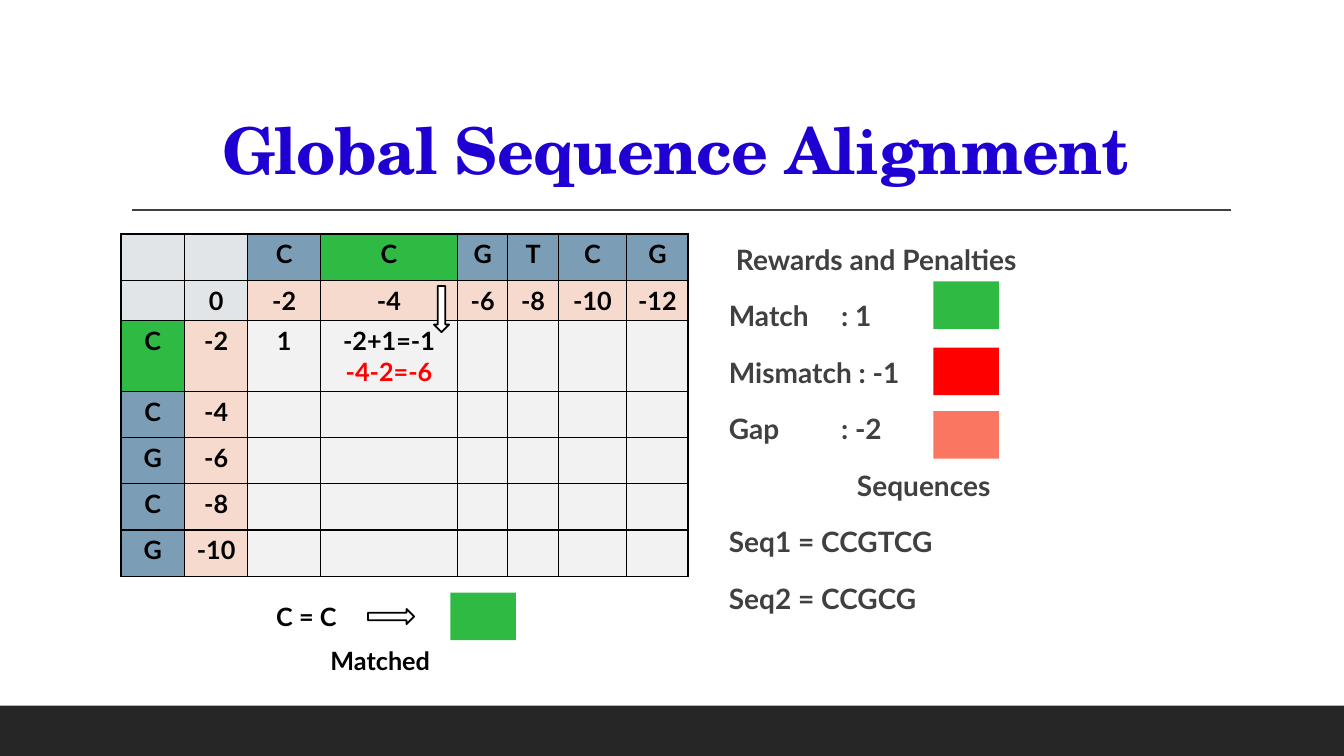
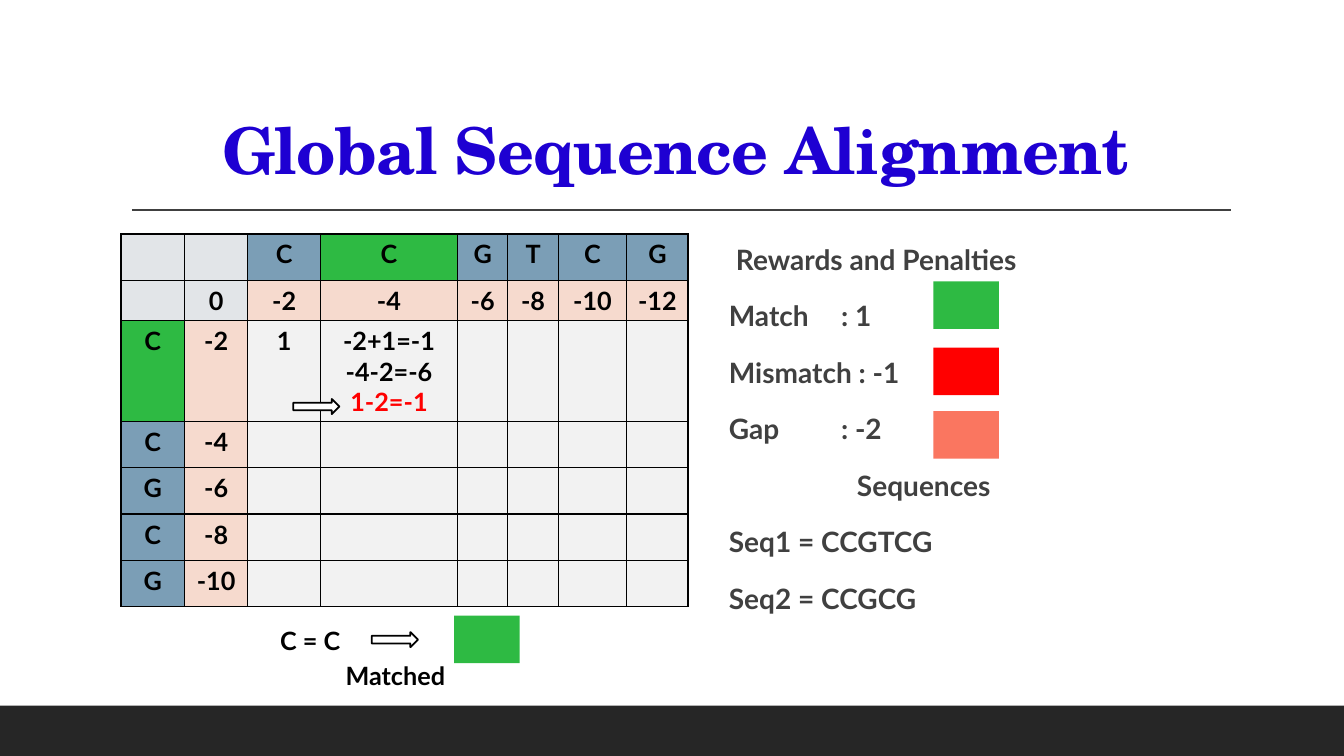
"""Builds two slides on filling the score table of a global sequence alignment."""
from lxml import etree
from pptx import Presentation, util as u
from pptx.dml.color import RGBColor
from pptx.enum import shapes, text
from pptx.oxml.ns import qn

BLACK = RGBColor(0x00, 0x00, 0x00)
WHITE = RGBColor(0xFF, 0xFF, 0xFF)
FOOTER = RGBColor(0x26, 0x26, 0x26)
GREY = RGBColor(0x40, 0x40, 0x40)
TITLE = RGBColor(0x1E, 0x00, 0xD2)
MATCH = RGBColor(0x2E, 0xBA, 0x43)
MISMATCH = RGBColor(0xFF, 0x00, 0x00)
GAP = RGBColor(0xFA, 0x76, 0x60)
CORNER = RGBColor(0xE2, 0xE5, 0xE8)
LETTER = RGBColor(0x7B, 0x9E, 0xB6)
GAP_SCORE = RGBColor(0xF6, 0xDA, 0xCE)
EMPTY = RGBColor(0xF2, 0xF2, 0xF2)

GRID_ROWS = 18
SEQ1, SEQ2 = "CCGTCG", "CCGCG"
GAP_PENALTY = -2
TABLE_COLUMNS = [1.51, 1.51, 1.73, 3.26, 1.2, 1.2, 1.63, 1.46]
SWATCH = (1.56, 1.13)
ARROW = (1.1, 0.36)


class Deck:
    """Holds the style and the current slide, measured on a 32 by 18 grid."""

    def __init__(self):
        self.prs = Presentation()
        self.prs.slide_width, self.prs.slide_height = u.Inches(13.33), u.Inches(7.5)
        self.unit = self.prs.slide_height / GRID_ROWS
        self.slide = None

    def grid(self, *lengths):
        """Turn grid lengths into slide lengths."""
        return [u.Emu(round(length * self.unit)) for length in lengths]

    def new_slide(self, title):
        """Start a slide with its footer band, rule and title."""
        self.slide = self.prs.slides.add_slide(self.prs.slide_layouts[6])
        self.shape(0, 16.8, 32, 1.2, FOOTER)
        self.rule(3.14, 5, 29.3)
        heading = self.box(2.88, 1.75, 26.4, 3.82)
        heading.vertical_anchor = text.MSO_ANCHOR.MIDDLE
        line = heading.paragraphs[0]
        line.alignment, line.line_spacing = text.PP_ALIGN.CENTER, 0.9
        run = self.run(line, title, 46, TITLE, "TeX Gyre Schola")
        run._r.get_or_add_rPr().set("spc", "-50")

    def rule(self, left, top, right):
        """Draw a thin horizontal line."""
        line = self.slide.shapes.add_connector(
            shapes.MSO_CONNECTOR.STRAIGHT, *self.grid(left, top, right, top))
        line.line.color.rgb, line.line.width = GREY, u.Pt(1)
        etree.SubElement(line._element.spPr, qn("a:effectLst"))

    def shape(self, left, top, width, height, fill,
              kind=shapes.MSO_SHAPE.RECTANGLE, outline=None):
        """Draw a filled preset shape."""
        shape = self.slide.shapes.add_shape(kind, *self.grid(left, top, width, height))
        shape.shadow.inherit = False
        shape.fill.solid()
        shape.fill.fore_color.rgb = fill
        if outline is None:
            shape.line.fill.background()
        else:
            shape.line.color.rgb, shape.line.width = outline, u.Pt(1.25)
        return shape

    def swatch(self, left, top, fill):
        """Draw a colour sample."""
        self.shape(left, top, *SWATCH, fill)

    def arrow(self, left, top, rotation=0):
        """Draw a white block arrow."""
        self.shape(left, top, *ARROW, WHITE, shapes.MSO_SHAPE.RIGHT_ARROW,
                   BLACK).rotation = rotation

    def box(self, left, top, width, height):
        """Add an empty wrapping text frame."""
        frame = self.slide.shapes.add_textbox(
            *self.grid(left, top, width, height)).text_frame
        frame.word_wrap = True
        return frame

    def run(self, paragraph, words, size=18, colour=BLACK, font="Lato"):
        """Add one bold run."""
        run = paragraph.add_run()
        run.text = words
        run.font.size, run.font.name, run.font.bold = u.Pt(size), font, True
        run.font.color.rgb = colour
        return run

    def label(self, left, top, width, words):
        """Add a one-line label."""
        self.run(self.box(left, top, width, 0.96).paragraphs[0], words)

    def scoring_rules(self, left, top, width, height, entries, tab):
        """Add lines given as indent and words, with one shared tab stop."""
        frame = self.box(left, top, width, height)
        frame.margin_left = frame.margin_right = 0
        for index, (indent, words) in enumerate(entries):
            line = frame.add_paragraph() if index else frame.paragraphs[0]
            props = line._p.get_or_add_pPr()
            props.set("marL", str(self.grid(indent)[0]))
            stops = etree.SubElement(props, qn("a:tabLst"))
            etree.SubElement(stops, qn("a:tab"), pos=str(self.grid(tab)[0]), algn="l")
            line.line_spacing, line.space_after = 1.1, u.Pt(2)
            if index:
                line.space_before = u.Pt(12)
            self.run(line, words, 20, GREY)

    def cell(self, cell, lines, fill):
        """Fill, border and write one table cell; lines pair words and colour."""
        cell.fill.solid()
        cell.fill.fore_color.rgb = fill
        props = cell._tc.get_or_add_tcPr()
        for place, side in enumerate(("lnL", "lnR", "lnT", "lnB")):
            border = etree.Element(qn(f"a:{side}"), w=str(u.Pt(1)))
            paint = etree.SubElement(border, qn("a:solidFill"))
            etree.SubElement(paint, qn("a:srgbClr"), val=str(BLACK))
            props.insert(place, border)
        frame = cell.text_frame
        for index, (words, colour) in enumerate(lines):
            line = frame.add_paragraph() if index else frame.paragraphs[0]
            line.alignment = text.PP_ALIGN.CENTER
            self.run(line, words, colour=colour)

    def score_table(self, left, top, steps):
        """Add the alignment table with the steps worked so far, the newest in red."""
        heights = [1.1, 0.97, 0.24 + 0.72 * len(steps)] + [1.1] * (len(SEQ2) - 1)
        frame = self.slide.shapes.add_table(
            len(heights), len(TABLE_COLUMNS),
            *self.grid(left, top, sum(TABLE_COLUMNS), sum(heights)))
        table = frame.table
        table.first_row = table.horz_banding = False
        for column, width in zip(table.columns, self.grid(*TABLE_COLUMNS)):
            column.width = width
        for row, height in zip(table.rows, self.grid(*heights)):
            row.height = height
        worked = [(step, BLACK) for step in steps[:-1]] + [(steps[-1], MISMATCH)]
        for row in range(len(heights)):
            for column in range(len(TABLE_COLUMNS)):
                lines, fill = self.score(row, column, worked)
                self.cell(table.cell(row, column), lines, fill)

    def score(self, row, column, worked):
        """Give the lines and fill of a table position."""
        if row < 2 and column < 2:
            return ([("0", BLACK)] if row == column == 1 else []), CORNER
        if row == 0:
            return [(SEQ1[column - 2], BLACK)], MATCH if column == 3 else LETTER
        if column == 0:
            return [(SEQ2[row - 2], BLACK)], MATCH if row == 2 else LETTER
        if row == 1 or column == 1:
            return [(str(GAP_PENALTY * (row + column - 2)), BLACK)], GAP_SCORE
        found = {(2, 2): [("1", BLACK)], (2, 3): worked}
        return found.get((row, column), []), EMPTY

    def match_key(self, left, top, caption):
        """Show that equal letters count as a match."""
        self.label(left, top, 2.4, "C = C")
        self.arrow(left + 2.42, top + 0.29)
        self.swatch(left + 4.38, top - 0.1, MATCH)
        self.label(*caption, 3.31, "Matched")


RULES = [(0.17, "Rewards and Penalties"), (0, "Match\t: 1"), (0, "Mismatch : -1"),
         (0, "Gap\t: -2"), (3.05, "Sequences"),
         (0, f"Seq1 = {SEQ1}"), (0, f"Seq2 = {SEQ2}")]

STAGES = [
    (["-2+1=-1", "-4-2=-6"], (9.96, 7.18, 90), (6.34, 14.21), (7.63, 15.24)),
    (["-2+1=-1", "-4-2=-6", "1-2=-1"], (6.98, 9.5, 0), (6.43, 14.76), (7.99, 15.6)),
]


def main():
    """Build and save the deck."""
    deck = Deck()
    for steps, direction, key, caption in STAGES:
        deck.new_slide("Global Sequence Alignment")
        deck.score_table(2.88, 5.57, steps)
        deck.scoring_rules(17.35, 5.57, 11.93, 9.84, RULES, tab=2.67)
        for top, colour in ((6.7, MATCH), (8.28, MISMATCH), (9.79, GAP)):
            deck.swatch(22.22, top, colour)
        deck.arrow(*direction)
        deck.match_key(*key, caption)
    deck.prs.save("out.pptx")


if __name__ == "__main__":
    main()
